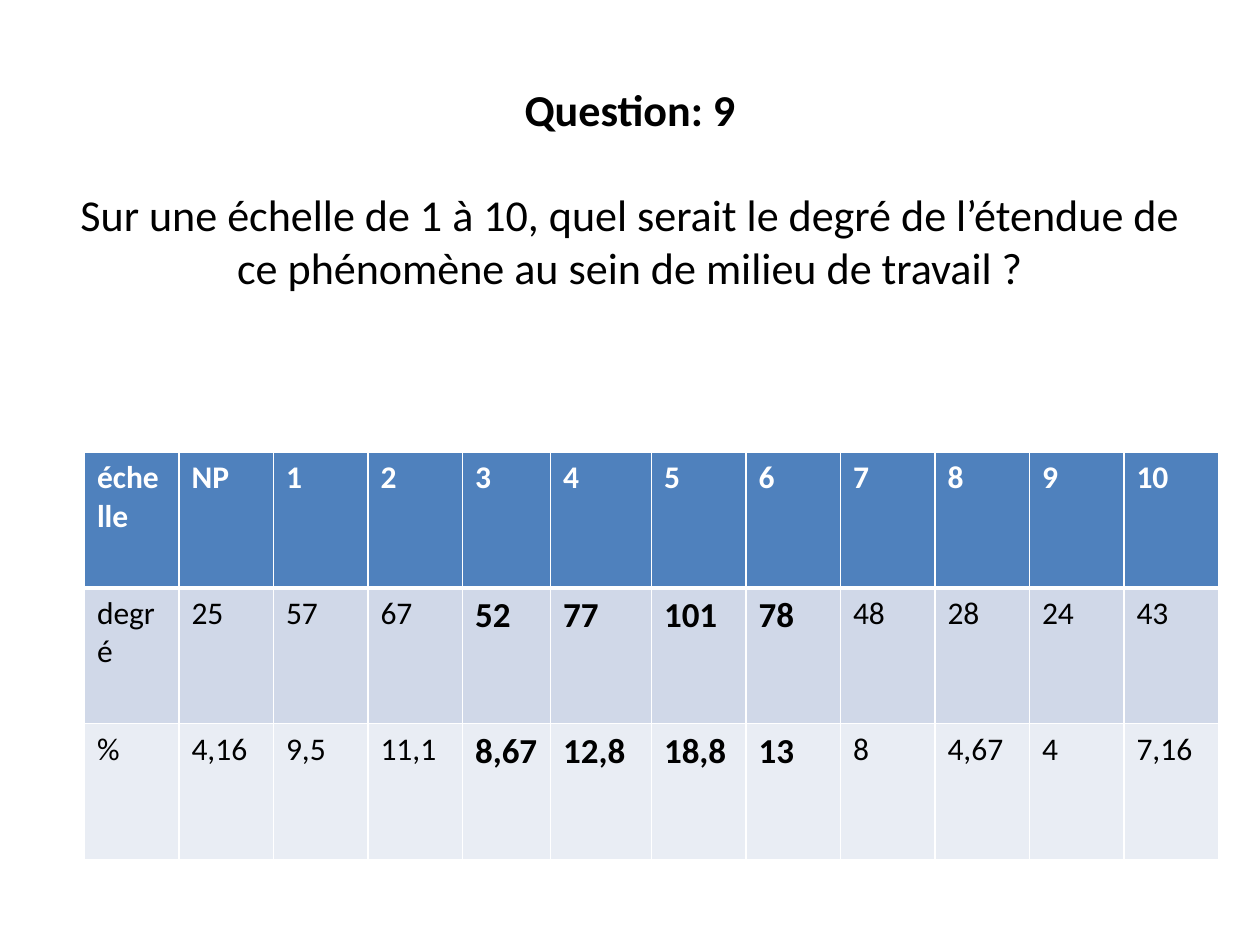
from lxml import etree
from pptx import Presentation
from pptx.dml.color import RGBColor
from pptx.enum.text import MSO_ANCHOR, MSO_AUTO_SIZE, PP_ALIGN
from pptx.oxml.ns import qn
from pptx.util import Inches, Pt

CENTER = PP_ALIGN.CENTER
MIDDLE = MSO_ANCHOR.MIDDLE
NO_AUTOFIT = MSO_AUTO_SIZE.NONE
FONT = "Calibri"
BLACK = "000000"
WHITE = "FFFFFF"
ROW_FILLS = ["4F81BD", "D0D8E8", "E9EDF4"]
ROWS = [
    ["échelle", "NP", "1", "2", "3", "4", "5", "6", "7", "8", "9", "10"],
    ["degré", "25", "57", "67", "52", "77", "101", "78", "48", "28", "24", "43"],
    ["%", "4,16", "9,5", "11,1", "8,67", "12,8", "18,8", "13", "8", "4,67", "4", "7,16"],
]
COLUMN_WIDTHS = [0.75] * 4 + [0.7, 0.8] + [0.75] * 6
ROW_HEIGHT = 1.077
EMPHASIZED_COLUMNS = range(4, 8)


def color(value):
    return RGBColor.from_string(value)


def format_paragraph(para, size, value, bold):
    para.font.name = FONT
    para.font.size = Pt(size)
    para.font.bold = bold
    para.font.color.rgb = color(value)


def add_title(page, heading, question):
    title = page.shapes.title
    title.left, title.top = Inches(0.5), Inches(0.3)
    title.width, title.height = Inches(9), Inches(2.98)
    frame = title.text_frame
    frame.word_wrap = True
    frame.auto_size = NO_AUTOFIT
    frame.vertical_anchor = MIDDLE
    frame.margin_bottom = Inches(0.65)
    frame.text = f"{heading}\n{question}"
    for para, bold in zip(frame.paragraphs, (True, False)):
        para.alignment = CENTER
        format_paragraph(para, 25.2, BLACK, bold)
    frame.paragraphs[0].space_after = Pt(30)


def set_borders(cell, top, bottom):
    properties = cell._tc.get_or_add_tcPr()
    widths = {"a:lnL": 1, "a:lnR": 1, "a:lnT": top, "a:lnB": bottom}
    for index, (tag, width) in enumerate(widths.items()):
        line = etree.Element(qn(tag), w=str(Pt(width)))
        fill = etree.SubElement(line, qn("a:solidFill"))
        etree.SubElement(fill, qn("a:srgbClr"), val=WHITE)
        properties.insert(index, line)


def add_results_table(page):
    frame = page.shapes.add_table(
        len(ROWS), len(COLUMN_WIDTHS), Inches(0.67), Inches(3.59),
        Inches(sum(COLUMN_WIDTHS)), Inches(ROW_HEIGHT * len(ROWS)))
    table = frame.table
    for column, width in zip(table.columns, COLUMN_WIDTHS):
        column.width = Inches(width)
    for row_index, values in enumerate(ROWS):
        table.rows[row_index].height = Inches(ROW_HEIGHT)
        header = row_index == 0
        for column_index, value in enumerate(values):
            cell = table.cell(row_index, column_index)
            cell.text = value
            cell.fill.solid()
            cell.fill.fore_color.rgb = color(ROW_FILLS[row_index])
            emphasized = not header and column_index in EMPHASIZED_COLUMNS
            format_paragraph(cell.text_frame.paragraphs[0], 20 if emphasized else 18,
                             WHITE if header else BLACK, header or emphasized)
            set_borders(cell, 3 if row_index == 1 else 1, 3 if header else 1)


def main():
    deck = Presentation()
    deck.slide_width, deck.slide_height = Inches(10), Inches(7.5)
    page = deck.slides.add_slide(deck.slide_layouts[5])
    add_title(page, "Question: 9",
              "Sur une échelle de 1 à 10, quel serait le degré de l’étendue de "
              "ce phénomène au sein de milieu de travail ?")
    add_results_table(page)
    deck.save("out.pptx")


if __name__ == "__main__":
    main()
